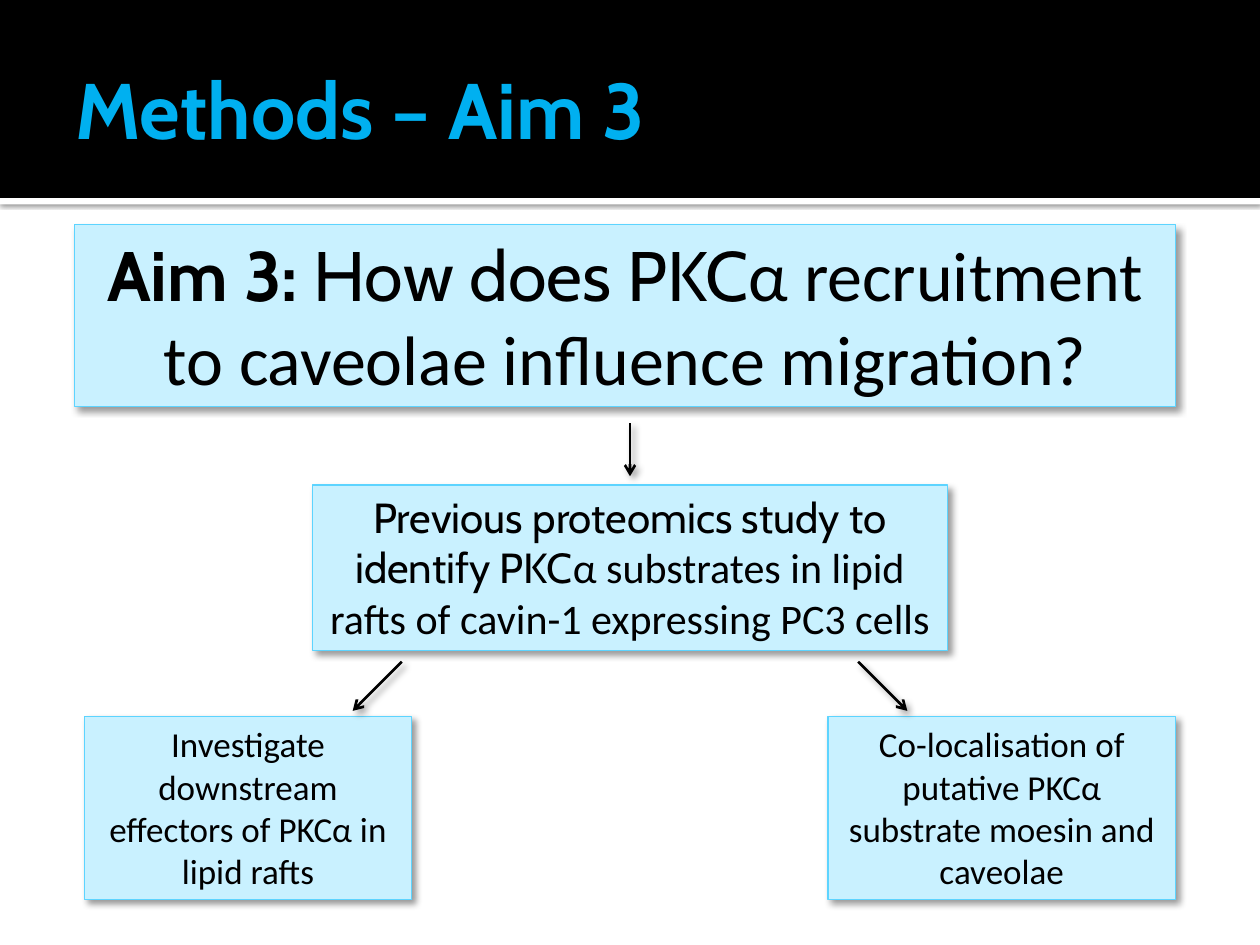
import pptx
import pptx.util
import pptx.dml.color
import pptx.enum.shapes
import pptx.enum.text
import pptx.oxml
import pptx.oxml.ns
from pptx.util import Cm, Pt

COLORS = {
    "band": "000000",
    "strip": "FFFFFF",
    "title": "00B0F0",
    "box": "C9F1FF",
    "border": "5DD4FF",
    "ink": "000000",
}
HEADING_FONT = "Cabin"
BODY_FONT = "Calibri"
SLIDE_WIDTH, SLIDE_HEIGHT = 25.4, 19.05


def color(name):
    return pptx.dml.color.RGBColor.from_string(COLORS[name])


def add_shadow(shape, blur=4, distance=3, angle=45, opacity=40):
    """Give a shape or connector an outer shadow; sizes in points."""
    properties = shape.element.spPr
    for effects in properties.findall(pptx.oxml.ns.qn("a:effectLst")):
        properties.remove(effects)
    properties.append(pptx.oxml.parse_xml(
        f'<a:effectLst {pptx.oxml.ns.nsdecls("a")}>'
        f'<a:outerShdw blurRad="{Pt(blur)}" dist="{Pt(distance)}" dir="{angle * 60000}" '
        f'algn="tl" rotWithShape="0"><a:srgbClr val="{COLORS["ink"]}">'
        f'<a:alpha val="{opacity * 1000}"/></a:srgbClr></a:outerShdw></a:effectLst>'))


def add_text(paragraph, text, font=BODY_FONT, size=20, bold=False, ink="ink"):
    run = paragraph.add_run()
    run.text = text
    run.font.name = font
    run.font.size = Pt(size)
    run.font.bold = bold
    run.font.color.rgb = color(ink)


def add_rectangle(slide, left, top, width, height, fill, border=None):
    shape = slide.shapes.add_shape(
        pptx.enum.shapes.MSO_SHAPE.RECTANGLE, Cm(left), Cm(top), Cm(width), Cm(height))
    shape.shadow.inherit = False
    shape.fill.solid()
    shape.fill.fore_color.rgb = color(fill)
    if border:
        shape.line.color.rgb = color(border)
        shape.line.width = Pt(0.75)
    else:
        shape.line.fill.background()
    return shape


def add_box(slide, left, top, width, height, runs, anchor="TOP"):
    """Draw a shadowed box; runs is a list of (text, format) pairs."""
    box = add_rectangle(slide, left, top, width, height, "box", "border")
    add_shadow(box)
    frame = box.text_frame
    frame.word_wrap = True
    frame.auto_size = pptx.enum.text.MSO_AUTO_SIZE.SHAPE_TO_FIT_TEXT
    frame.vertical_anchor = getattr(pptx.enum.text.MSO_ANCHOR, anchor)
    paragraph = frame.paragraphs[0]
    paragraph.alignment = pptx.enum.text.PP_ALIGN.CENTER
    for text, text_format in runs:
        add_text(paragraph, text, **text_format)


def add_arrow(slide, start_x, start_y, end_x, end_y):
    arrow = slide.shapes.add_connector(
        pptx.enum.shapes.MSO_CONNECTOR.STRAIGHT,
        Cm(start_x), Cm(start_y), Cm(end_x), Cm(end_y))
    arrow.line.color.rgb = color("ink")
    arrow.line.width = Pt(1.5)
    arrow.line._get_or_add_ln().append(pptx.oxml.parse_xml(
        f'<a:tailEnd {pptx.oxml.ns.nsdecls("a")} type="arrow"/>'))
    add_shadow(arrow)


def add_header(slide, left, top, width, height):
    # White strip under the black band
    strip = add_rectangle(slide, left, top + height, width, 0.13, "strip")
    add_shadow(strip, blur=2.5, distance=0.8, angle=90, opacity=60)
    add_rectangle(slide, left, top, width, height, "band")

    # Title, brought in front of the band
    title = slide.shapes.title
    title.element.getparent().append(title.element)
    title.left, title.top = Cm(left + 1.27), Cm(top + 0.43)
    title.width, title.height = Cm(width - 2.54), Cm(3.48)
    frame = title.text_frame
    frame.word_wrap = True
    frame.vertical_anchor = pptx.enum.text.MSO_ANCHOR.MIDDLE
    frame.margin_left = Cm(0.25)
    frame.margin_right = frame.margin_top = frame.margin_bottom = Cm(0.13)
    frame.paragraphs[0].alignment = pptx.enum.text.PP_ALIGN.LEFT
    add_text(frame.paragraphs[0], "Methods – Aim 3",
             font=HEADING_FONT, size=45, bold=True, ink="title")


def add_flow(slide, left, top, width, height):
    center = SLIDE_WIDTH / 2
    box_height = 3.68
    outcome_top = top + height - box_height

    # Research question
    add_box(slide, left, top, width, box_height, [
        ("Aim 3: ", {"font": HEADING_FONT, "size": 40, "bold": True}),
        ("How does PKC", {"font": HEADING_FONT, "size": 40}),
        ("α recruitment to caveolae influence migration?", {"size": 40}),
    ], anchor="MIDDLE")

    # Two outcomes
    add_box(slide, left + 0.2, outcome_top, 6.6, box_height,
            [("Investigate downstream effectors of PKCα in lipid rafts", {})])
    add_box(slide, left + width - 7.01, outcome_top, 7.01, box_height,
            [("Co-localisation of putative PKCα substrate moesin and caveolae", {})])

    # Previous study
    study_width = 12.8
    add_box(slide, center - study_width / 2, top + 5.26, study_width, 3.33, [
        ("Previous proteomics study to identify PKC", {"font": HEADING_FONT, "size": 24}),
        ("α substrates in lipid rafts of cavin-1 expressing PC3 cells", {"size": 24}),
    ])

    # Arrows: one down, two mirrored about the centre
    for side in (-1, 1):
        add_arrow(slide, center + side * 4.6, outcome_top - 1.11,
                  center + side * 5.59, outcome_top - 0.12)
    add_arrow(slide, center, top + 4.01, center, top + 5.08)


def main():
    presentation = pptx.Presentation()
    presentation.slide_width = Cm(SLIDE_WIDTH)
    presentation.slide_height = Cm(SLIDE_HEIGHT)
    slide = presentation.slides.add_slide(presentation.slide_layouts[5])
    add_header(slide, 0, 0, SLIDE_WIDTH, 3.99)
    add_flow(slide, 1.5, 4.52, 22.2, 13.61)
    presentation.save("out.pptx")


if __name__ == "__main__":
    main()
